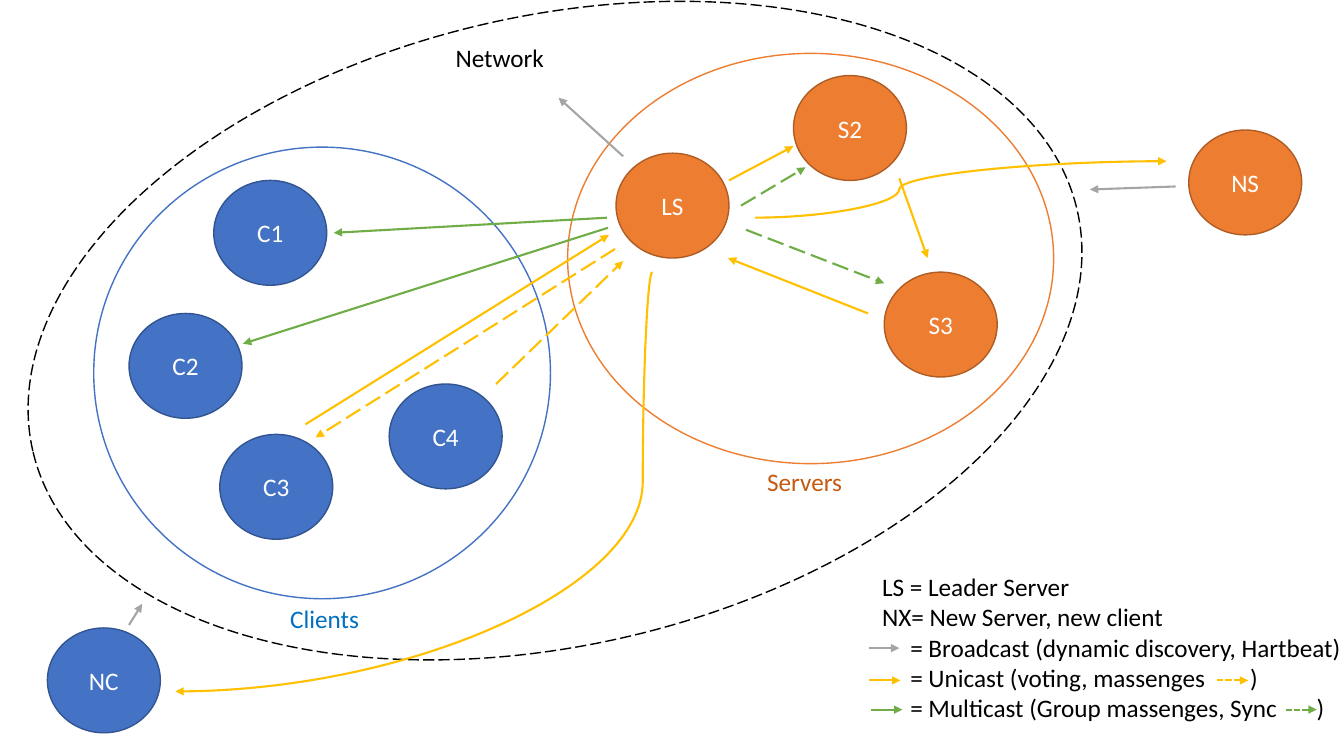
from dataclasses import dataclass
from typing import NamedTuple, Optional

from lxml import etree
from pptx import Presentation, util as u
from pptx.dml.color import RGBColor
from pptx.enum import dml, shapes, text
from pptx.oxml import ns


@dataclass(frozen=True)
class Theme:
    font: str = "Calibri"
    size: int = 18
    outline: float = 1
    arrow: float = 1.5
    white: str = "FFFFFF"
    black: str = "000000"
    client: str = "4472C4"
    client_edge: str = "325491"
    client_label: str = "0070C0"
    server: str = "ED7D31"
    server_edge: str = "AF5C24"
    server_label: str = "C55A11"
    broadcast: str = "A5A5A5"
    unicast: str = "FFC000"
    multicast: str = "70AD47"


THEME = Theme()
LONG = dml.MSO_LINE.LONG_DASH
SHORT = dml.MSO_LINE.SQUARE_DOT
NODE_WIDTH, NODE_HEIGHT = 1.12, 1.04


class Group(NamedTuple):
    left: float
    top: float
    width: float
    height: float
    edge: str
    rotation: float = 0
    dash: Optional[dml.MSO_LINE] = None


class Node(NamedTuple):
    name: str
    left: float
    top: float
    fill: str
    edge: str


class Label(NamedTuple):
    lines: tuple[str, ...]
    left: float
    top: float
    width: float
    height: float
    color: str
    tabs: tuple[float, ...] = ()


class Arrow(NamedTuple):
    start: tuple[float, float]
    end: tuple[float, float]
    color: str
    dash: Optional[dml.MSO_LINE] = None
    bend: Optional[float] = None


GROUPS = [
    Group(0.19, 0.16, 10.63, 6.24, THEME.black, 347, LONG),
    Group(0.93, 1.46, 4.53, 4.48, THEME.client),
    Group(5.63, 0.53, 4.82, 4.07, THEME.server),
]

CLIENTS = [
    ("C1", 2.12, 1.79), ("C4", 3.86, 3.81), ("C2", 1.28, 3.11),
    ("C3", 2.18, 4.31), ("NC", 0.47, 6.23),
]
SERVERS = [
    ("NS", 11.79, 1.29), ("S3", 8.77, 2.7), ("LS", 6.11, 1.52), ("S2", 7.87, 0.75),
]
NODES = [Node(*client, THEME.client, THEME.client_edge) for client in CLIENTS]
NODES += [Node(*server, THEME.server, THEME.server_edge) for server in SERVERS]

LEGEND = (
    "LS = Leader Server",
    "NX= New Server, new client",
    "\t= Broadcast (dynamic discovery, Hartbeat)",
    "\t= Unicast (voting, massenges\t)",
    "\t= Multicast (Group massenges, Sync\t)",
)
LABELS = [
    Label(("Clients",), 2.78, 5.94, 0.92, 0.4, THEME.client_label),
    Label(("Servers",), 7.51, 4.58, 1.07, 0.4, THEME.server_label),
    Label(("Network",), 4.42, 0.37, 1.37, 0.4, THEME.black),
    Label(LEGEND, 8.65, 5.62, 5.57, 1.92, THEME.black, (0.28, 3.65, 4.31)),
]

ARROWS = [
    Arrow((8.62, 6.43), (8.92, 6.43), THEME.broadcast),
    Arrow((11.66, 1.85), (10.81, 1.88), THEME.broadcast),
    Arrow((6.18, 1.55), (5.54, 0.97), THEME.broadcast),
    Arrow((1.28, 6.2), (1.41, 5.99), THEME.broadcast),
    Arrow((8.62, 6.75), (8.93, 6.75), THEME.unicast),
    Arrow((7.23, 1.79), (7.87, 1.45), THEME.unicast),
    Arrow((8.92, 1.77), (9.2, 2.56), THEME.unicast),
    Arrow((8.61, 3.11), (7.22, 2.56), THEME.unicast),
    Arrow((3.03, 4.21), (6.04, 2.33), THEME.unicast),
    Arrow((4.92, 3.81), (6.18, 2.59), THEME.unicast, LONG),
    Arrow((6.1, 2.47), (3.13, 4.34), THEME.unicast, LONG),
    Arrow((12.07, 6.75), (12.38, 6.75), THEME.unicast, SHORT),
    Arrow((6.47, 2.7), (1.74, 6.86), THEME.unicast, bend=0.02),
    Arrow((7.49, 2.16), (11.57, 1.6), THEME.unicast, bend=0.35),
    Arrow((8.64, 7.04), (8.95, 7.04), THEME.multicast),
    Arrow((6.02, 2.16), (3.31, 2.31), THEME.multicast),
    Arrow((6.03, 2.26), (2.41, 3.41), THEME.multicast),
    Arrow((7.35, 2.04), (7.99, 1.66), THEME.multicast, LONG),
    Arrow((7.4, 2.28), (8.77, 2.81), THEME.multicast, LONG),
    Arrow((12.75, 7.04), (13.06, 7.04), THEME.multicast, SHORT),
]


def style_line(line, color: str, width: float, dash: Optional[dml.MSO_LINE] = None) -> None:
    line.color.rgb = RGBColor.from_string(color)
    line.width = u.Pt(width)
    if dash is not None:
        line.dash_style = dash


def style_text(para, color: str) -> None:
    for span in para.runs:
        span.font.name = THEME.font
        span.font.size = u.Pt(THEME.size)
        span.font.color.rgb = RGBColor.from_string(color)


def draw_ellipse(page, left: float, top: float, width: float, height: float,
                 fill: str, edge: str, dash: Optional[dml.MSO_LINE] = None):
    ellipse = page.shapes.add_shape(
        shapes.MSO_SHAPE.OVAL, *map(u.Inches, (left, top, width, height)))
    ellipse.shadow.inherit = False
    ellipse.fill.solid()
    ellipse.fill.fore_color.rgb = RGBColor.from_string(fill)
    style_line(ellipse.line, edge, THEME.outline, dash)
    return ellipse


def draw_group(page, group: Group) -> None:
    ellipse = draw_ellipse(page, group.left, group.top, group.width, group.height,
                           THEME.white, group.edge, group.dash)
    ellipse.rotation = group.rotation


def draw_node(page, node: Node) -> None:
    frame = draw_ellipse(page, node.left, node.top, NODE_WIDTH, NODE_HEIGHT,
                         node.fill, node.edge).text_frame
    frame.text = node.name
    frame.vertical_anchor = text.MSO_ANCHOR.MIDDLE
    frame.paragraphs[0].alignment = text.PP_ALIGN.CENTER
    style_text(frame.paragraphs[0], THEME.white)


def draw_label(page, label: Label) -> None:
    box = page.shapes.add_textbox(
        *map(u.Inches, (label.left, label.top, label.width, label.height)))
    frame = box.text_frame
    frame.text = "\n".join(label.lines)
    frame.word_wrap = True
    frame.auto_size = text.MSO_AUTO_SIZE.SHAPE_TO_FIT_TEXT
    for para in frame.paragraphs:
        style_text(para, label.color)
        if label.tabs:
            stops = etree.SubElement(para._p.get_or_add_pPr(), ns.qn("a:tabLst"))
            for tab in label.tabs:
                etree.SubElement(stops, ns.qn("a:tab"), pos=str(u.Inches(tab)), algn="l")


def draw_arrow(page, arrow: Arrow) -> None:
    kind = shapes.MSO_CONNECTOR.STRAIGHT if arrow.bend is None else shapes.MSO_CONNECTOR.CURVE
    connector = page.shapes.add_connector(kind, *map(u.Inches, arrow.start + arrow.end))
    style_line(connector.line, arrow.color, THEME.arrow, arrow.dash)
    etree.SubElement(connector.get_or_add_ln(), ns.qn("a:tailEnd"), type="triangle")
    properties = connector._element.spPr
    etree.SubElement(properties, ns.qn("a:effectLst"))
    if arrow.bend is not None:
        guides = properties.find(".//" + ns.qn("a:avLst"))
        etree.SubElement(guides, ns.qn("a:gd"), name="adj1",
                         fmla=f"val {round(arrow.bend * 100000)}")


def main() -> None:
    deck = Presentation()
    deck.slide_width, deck.slide_height = u.Inches(13.33), u.Inches(7.5)
    page = deck.slides.add_slide(deck.slide_layouts[6])
    for group in GROUPS:
        draw_group(page, group)
    for node in NODES:
        draw_node(page, node)
    for label in LABELS:
        draw_label(page, label)
    for arrow in ARROWS:
        draw_arrow(page, arrow)
    deck.save("out.pptx")


if __name__ == "__main__":
    main()
